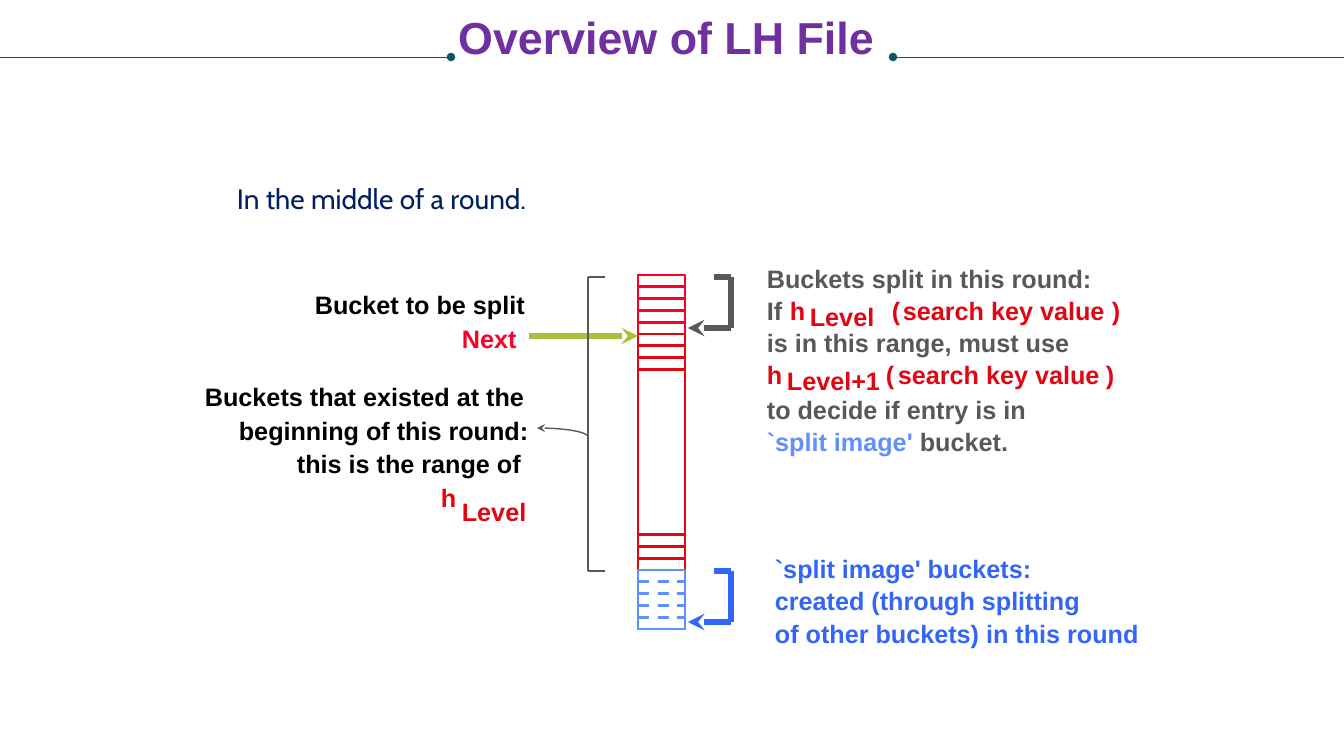
from lxml.etree import SubElement
from pptx import Presentation
from pptx.dml.color import RGBColor
from pptx.enum.dml import MSO_LINE
from pptx.enum.shapes import MSO_CONNECTOR as CONN, MSO_SHAPE as SHAPE
from pptx.enum.text import MSO_AUTO_SIZE as FIT, PP_ALIGN as ALIGN
from pptx.oxml.ns import qn
from pptx.util import Pt

PX = 12192000 / 1344
BLACK, GREY, RED, BRIGHT = "000000", "585858", "E20613", "FC0128"
BLUE, PALE, GREEN, TEAL = "3365FB", "618FFD", "A9C038", "085764"

TITLE = "Overview of LH File "
SUBTITLE = "In the middle of a round."

# left, top, width, runs of (text, colour)
LABELS = [
    (305, 284, 239, [("Bucket to be split", BLACK)]),
    (452, 318, 76, [("Next", BRIGHT)]),
    (195, 376, 340, [("Buckets that existed at the", BLACK)]),
    (229, 410, 320, [("beginning of this round:", BLACK)]),
    (287, 443, 246, [("this is the range of", BLACK)]),
    (431, 477, 42, [("h", RED)]),
    (452, 491, 85, [("Level", RED)]),
    (757, 258, 348, [("Buckets split in this round:", GREY)]),
    (757, 290, 42, [("If", GREY)]),
    (780, 290, 42, [("h", RED)]),
    (800, 296, 85, [("Level", RED)]),
    (882, 290, 28, [("(", RED)]),
    (893, 290, 229, [("search key value", RED)]),
    (1102, 290, 28, [(")", RED)]),
    (757, 322, 326, [("is in this range, must use", GREY)]),
    (757, 354, 42, [("h", RED)]),
    (777, 360, 114, [("Level+1", RED)]),
    (876, 354, 28, [("(", RED)]),
    (888, 354, 229, [("search key value", RED)]),
    (1096, 354, 28, [(")", RED)]),
    (757, 389, 288, [("to decide if entry is in", GREY)]),
    (757, 421, 264, [("`split image' ", PALE), ("bucket.", GREY)]),
    (765, 548, 290, [("`split image' buckets:", BLUE)]),
    (765, 580, 329, [("created (through splitting", BLUE)]),
    (765, 613, 388, [("of other buckets) in this round", BLUE)]),
]

# The file is a stack of equal buckets, counted from the top
FILE_LEFT, FILE_TOP, FILE_WIDTH, FILE_HEIGHT, BUCKETS = 638, 275, 47, 354, 30
SECTIONS = [(0, 30, RED), (25, 30, PALE), (0, 5, BRIGHT)]
DIVIDERS = [(range(1, 5), BRIGHT, None), (range(5, 9), RED, None),
            (range(22, 25), RED, None), (range(26, 30), PALE, MSO_LINE.DASH)]

HOOKS = [(277, GREY), (571, BLUE)]
HOOK_HEIGHT = 51
BRACKET_TOP, BRACKET_BOTTOM, BRACKET_LEFT, BRACKET_RIGHT = 277, 571, 588, 605
CURVE = [(537, 428), (566, 428), (588, 432), (588, 437)]


def emu(px):
    return round(px * PX)


def rgb(code):
    return RGBColor.from_string(code)


def style_line(sp, color, width, dash=None, head=None, tail=None):
    sp.line.color.rgb = rgb(color)
    sp.line.width = Pt(width)
    if dash:
        sp.line.dash_style = dash
    ln = sp.line._get_or_add_ln()
    for tag, kind in (("a:headEnd", head), ("a:tailEnd", tail)):
        if kind:
            SubElement(ln, qn(tag), type=kind)


def add_line(shapes, x1, y1, x2, y2, color, width, **ends):
    sp = shapes.add_connector(CONN.STRAIGHT, emu(x1), emu(y1), emu(x2), emu(y2))
    style_line(sp, color, width, **ends)
    SubElement(sp._element.spPr, qn("a:effectLst"))


def add_text(shapes, box, runs, size=18, font="Arial", bold=True, wrap=False,
             align=ALIGN.LEFT, fit=FIT.SHAPE_TO_FIT_TEXT):
    tf = shapes.add_textbox(*map(emu, box)).text_frame
    tf.word_wrap = wrap
    tf.auto_size = fit
    p = tf.paragraphs[0]
    p.alignment = align
    for text, color in runs:
        r = p.add_run()
        r.text = text
        r.font.size, r.font.name, r.font.bold = Pt(size), font, bold
        r.font.color.rgb = rgb(color)


def add_file(shapes):
    pitch = FILE_HEIGHT / BUCKETS
    for first, last, color in SECTIONS:
        sp = shapes.add_shape(SHAPE.RECTANGLE, emu(FILE_LEFT), emu(FILE_TOP + first * pitch),
                              emu(FILE_WIDTH), emu((last - first) * pitch))
        sp.shadow.inherit = False
        sp.fill.background()
        style_line(sp, color, 2)
    for rows, color, dash in DIVIDERS:
        for row in rows:
            y = FILE_TOP + row * pitch
            add_line(shapes, FILE_LEFT, y, FILE_LEFT + FILE_WIDTH, y, color, 2, dash=dash)


def add_hook(shapes, top, color):
    """Three-sided arrow pointing back at the buckets it spans."""
    hook, bottom = shapes.add_group_shape().shapes, top + HOOK_HEIGHT
    add_line(hook, 714, top, 731, top, color, 4)
    add_line(hook, 731, top, 731, bottom, color, 4)
    add_line(hook, 688, bottom, 731, bottom, color, 4, head="stealth")


def bezier(points, t):
    weights = ((1 - t) ** 3, 3 * t * (1 - t) ** 2, 3 * t * t * (1 - t), t ** 3)
    return tuple(emu(sum(w * p[axis] for w, p in zip(weights, points))) for axis in (0, 1))


def add_bracket(shapes):
    for y in (BRACKET_TOP, BRACKET_BOTTOM):
        add_line(shapes, BRACKET_RIGHT, y, BRACKET_LEFT, y, GREY, 1)
    add_line(shapes, BRACKET_LEFT, BRACKET_TOP, BRACKET_LEFT, BRACKET_BOTTOM, GREY, 1)
    points = [bezier(CURVE, step / 16) for step in range(17)]
    builder = shapes.build_freeform(*points[0])
    builder.add_line_segments(points[1:], close=False)
    sp = builder.convert_to_shape()
    sp.shadow.inherit = False
    sp.fill.background()
    style_line(sp, GREY, 1, head="stealth")


def main():
    prs = Presentation()
    prs.slide_width, prs.slide_height = emu(1344), emu(756)
    s = prs.slides.add_slide(prs.slide_layouts[6])
    shapes = s.shapes

    add_line(shapes, 893, 57, 1344, 57, TEAL, 0.5, head="oval")
    add_line(shapes, 0, 57, 451, 57, TEAL, 0.5, tail="oval")
    add_text(shapes, (89, 5, 1167, 65), [(TITLE, "7030A0")], size=32, wrap=True,
             align=ALIGN.CENTER)
    add_text(shapes, (227, 177, 924, 109), [(SUBTITLE, "002060")], size=20, font="Cabin",
             bold=False, wrap=True, fit=FIT.NONE)
    for left, top, width, runs in LABELS:
        add_text(shapes, (left, top, width, 40), runs)

    add_file(shapes)
    for top, color in HOOKS:
        add_hook(shapes, top, color)
    add_line(shapes, FILE_LEFT, 336, 529, 336, GREEN, 4, head="stealth")
    add_bracket(shapes)
    prs.save("out.pptx")


if __name__ == "__main__":
    main()
